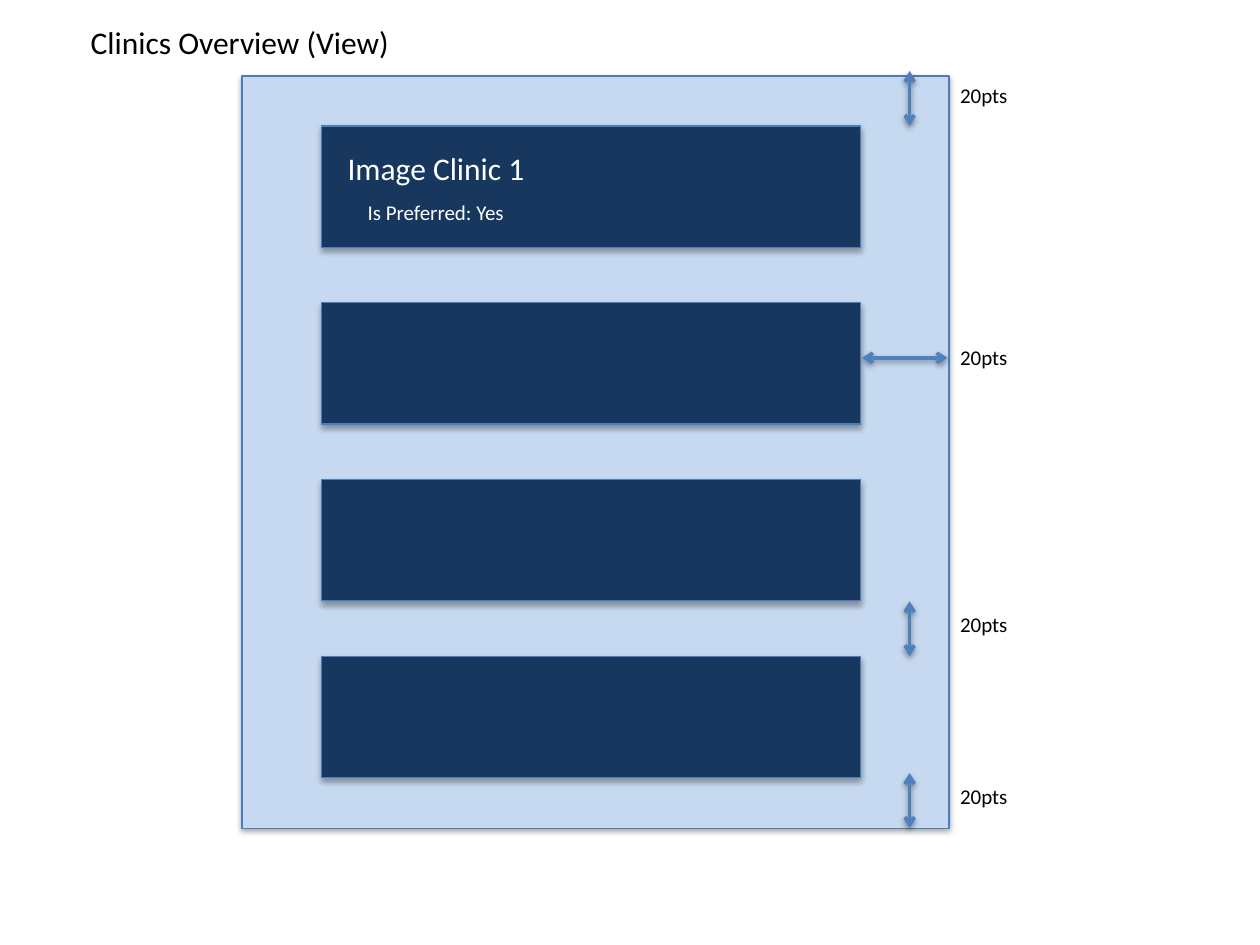
from lxml import etree
from pptx import Presentation
from pptx.dml.color import RGBColor
from pptx.enum.shapes import MSO_CONNECTOR, MSO_SHAPE
from pptx.enum.text import MSO_AUTO_SIZE
from pptx.oxml.ns import qn
from pptx.util import Pt

RECT = MSO_SHAPE.RECTANGLE
STRAIGHT = MSO_CONNECTOR.STRAIGHT
FIT_TEXT = MSO_AUTO_SIZE.SHAPE_TO_FIT_TEXT

BLACK = RGBColor(0x00, 0x00, 0x00)
WHITE = RGBColor(0xFF, 0xFF, 0xFF)
PALE_BLUE = RGBColor(0xC6, 0xD9, 0xF1)
NAVY = RGBColor(0x17, 0x37, 0x5E)
OUTLINE = RGBColor(0x4B, 0x7E, 0xBC)
ARROW = RGBColor(0x4F, 0x81, 0xBD)

# Content: text, left, top, width, height, size, colour
TEXTS = [
    ("Clinics Overview (View)", 44.8, 9.5, 187.2, 29.1, 18, BLACK),
    ("Image Clinic 1", 191.5, 81.4, 116.6, 29.1, 18, WHITE),
    ("Is Preferred: Yes", 203, 110.2, 95, 21.8, 12, WHITE),
]
SPACING = "20pts"

# Layout
PANEL = (138.3, 43.4, 404, 430)
CARD_LEFT, CARD_TOP, CARD_W, CARD_H = 183.6, 72, 308.2, 69.4
CARD_COUNT, CARD_PITCH = 4, 101
LABEL_LEFT, LABEL_W, LABEL_H = 541.5, 41.8, 21.8
ARROW_X = 519.8

# Spacing arrows: start x, start y, end x, end y, label top
SPACINGS = [
    (ARROW_X, 40.6, ARROW_X, 72, 43.4),
    (541.5, 204.5, 492.5, 204.5, 193.6),
    (ARROW_X, 343.6, ARROW_X, 375, 345.9),
    (ARROW_X, 441.8, ARROW_X, 473.2, 444.4),
]


def add_shadow(effects, distance, alpha):
    shadow = etree.SubElement(effects, qn("a:outerShdw"), blurRad="40000",
                              dist=str(distance), dir="5400000", rotWithShape="0")
    color = etree.SubElement(shadow, qn("a:srgbClr"), val="000000")
    etree.SubElement(color, qn("a:alpha"), val=str(alpha * 1000))


def add_box(left, top, width, height, fill):
    s = slide.shapes.add_shape(RECT, Pt(left), Pt(top), Pt(width), Pt(height))
    s.fill.solid()
    s.fill.fore_color.rgb = fill
    s.line.color.rgb = OUTLINE
    s.line.width = Pt(0.75)
    s.shadow.inherit = False
    add_shadow(s._element.spPr.find(qn("a:effectLst")), 23000, 35)


def add_text(text, left, top, width, height, size, color):
    s = slide.shapes.add_textbox(Pt(left), Pt(top), Pt(width), Pt(height))
    tf = s.text_frame
    tf.word_wrap = False
    tf.auto_size = FIT_TEXT
    p = tf.paragraphs[0]
    p.text = text
    p.font.name = "Calibri"
    p.font.size = Pt(size)
    p.font.color.rgb = color


def add_arrow(x1, y1, x2, y2):
    s = slide.shapes.add_connector(STRAIGHT, Pt(x1), Pt(y1), Pt(x2), Pt(y2))
    s.line.color.rgb = ARROW
    s.line.width = Pt(2)
    for end in ("a:headEnd", "a:tailEnd"):
        etree.SubElement(s.line._get_or_add_ln(), qn(end), type="arrow")
    add_shadow(etree.SubElement(s._element.spPr, qn("a:effectLst")), 20000, 38)


prs = Presentation()
prs.slide_width, prs.slide_height = Pt(720), Pt(540)
slide = prs.slides.add_slide(prs.slide_layouts[6])

# Panel and clinic cards
add_box(*PANEL, PALE_BLUE)
for i in range(CARD_COUNT):
    add_box(CARD_LEFT, CARD_TOP + i * CARD_PITCH, CARD_W, CARD_H, NAVY)

# Title and card text
for item in TEXTS:
    add_text(*item)

# Spacing arrows with labels
for *ends, label_top in SPACINGS:
    add_arrow(*ends)
    add_text(SPACING, LABEL_LEFT, label_top, LABEL_W, LABEL_H, 12, BLACK)

prs.save("out.pptx")
